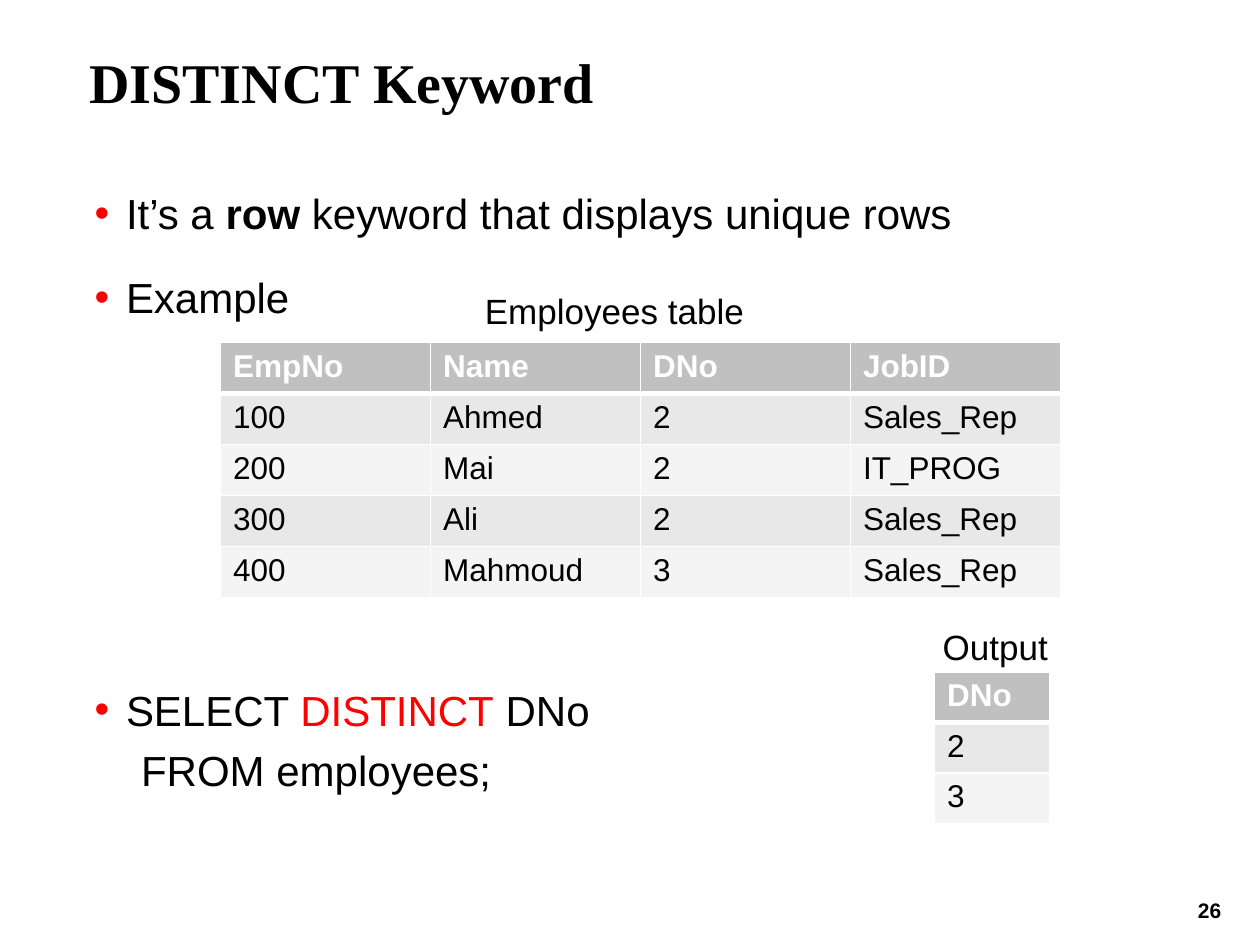
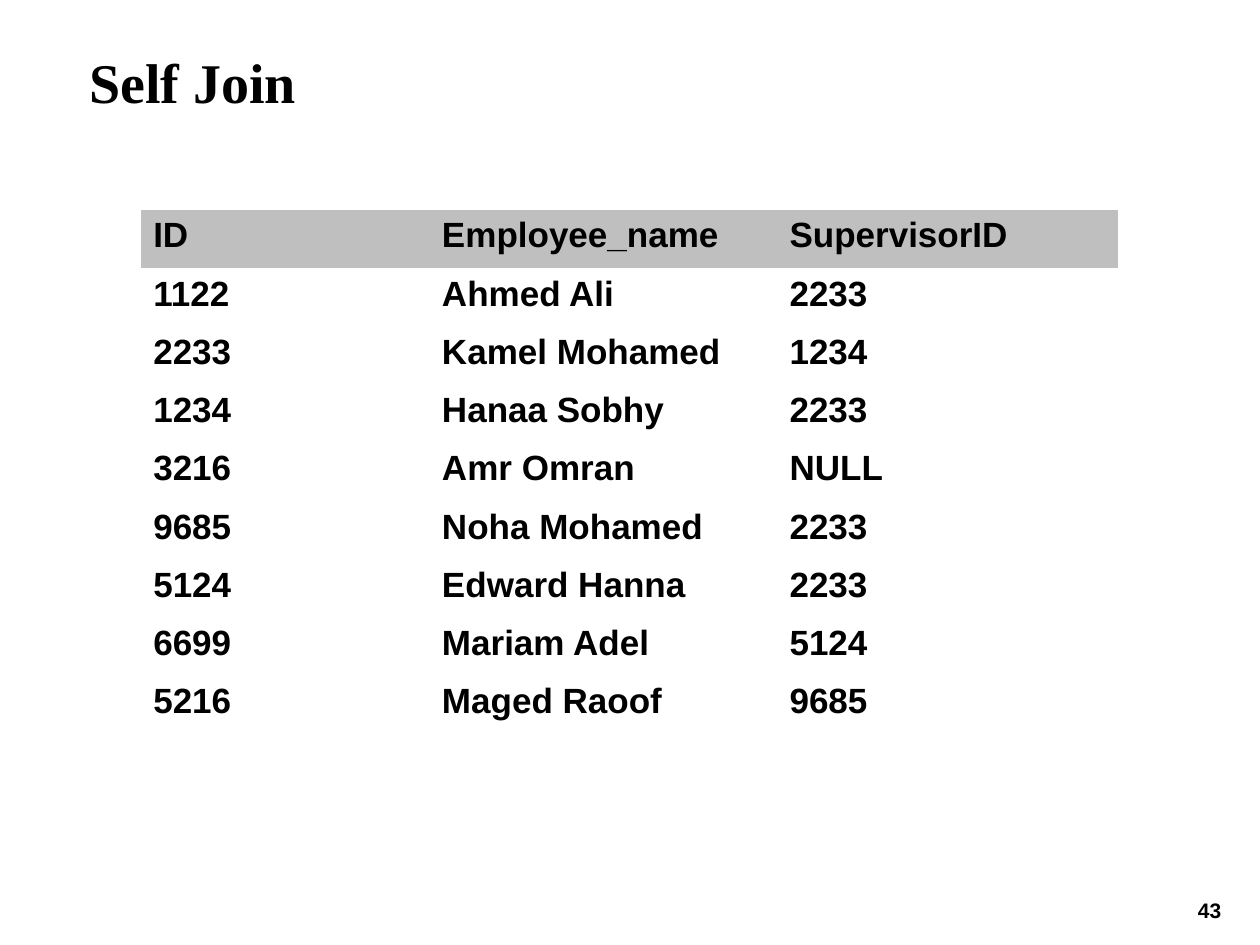
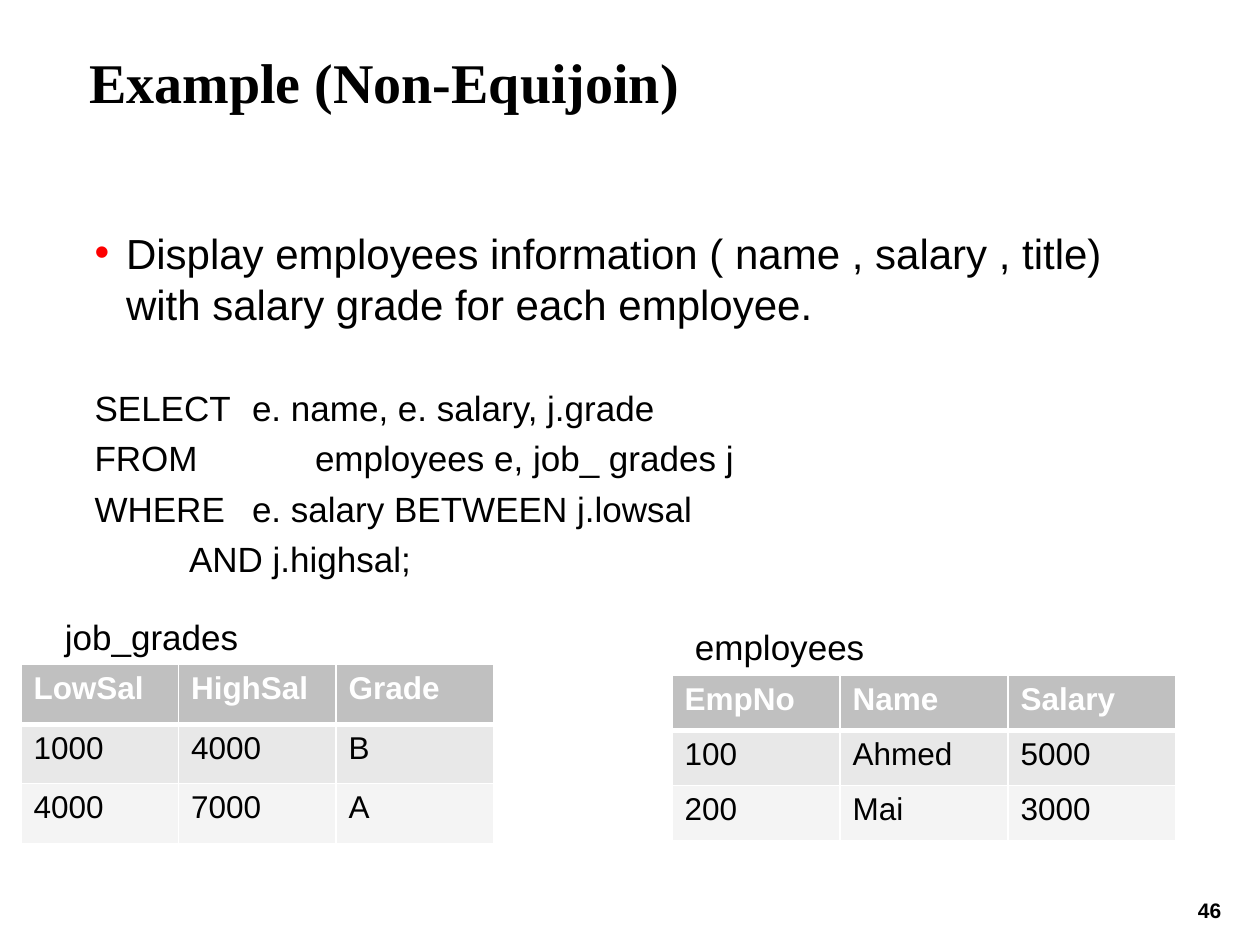
from lxml import etree
from pptx import Presentation
from pptx.dml.color import RGBColor
from pptx.enum.text import MSO_ANCHOR, MSO_AUTO_SIZE, PP_ALIGN
from pptx.oxml.ns import qn
from pptx.util import Inches, Pt

LEFT, CENTER = PP_ALIGN.LEFT, PP_ALIGN.CENTER
TOP, NO_FIT = MSO_ANCHOR.TOP, MSO_AUTO_SIZE.NONE

BLACK = RGBColor(0x00, 0x00, 0x00)
WHITE = RGBColor(0xFF, 0xFF, 0xFF)
RED = RGBColor(0xFF, 0x00, 0x00)
BULLET_RED = RGBColor(0xFD, 0x00, 0x00)
HEADER_GRAY = RGBColor(0xC0, 0xC0, 0xC0)
PLAIN_HEADER_GRAY = RGBColor(0xBF, 0xBF, 0xBF)
BAND_GRAYS = (RGBColor(0xE8, 0xE8, 0xE8), RGBColor(0xF4, 0xF4, 0xF4))

TITLE_FONT, TEXT_FONT = "Times New Roman", "Arial"
TITLE_ONLY, TITLE_AND_CONTENT = 5, 1
NO_TABLE_STYLE = "{2D5ABB26-0587-4C30-8999-92F81FD0307C}"

SLIDE_W, SLIDE_H = Inches(10), Inches(7.5)
COLUMNS, ROWS = 120, 90
INDENT = Inches(0.25)
TOP_INSET = Inches(0.04)
LINE_SPACING = 1.03


def across(columns):
    return round(SLIDE_W * columns / COLUMNS)


def down(rows):
    return round(SLIDE_H * rows / ROWS)


def place(sp, x, y, w, h):
    sp.left, sp.top, sp.width, sp.height = across(x), down(y), across(w), down(h)


def style(font, size, color=BLACK, bold=False, name=TEXT_FONT):
    font.name, font.size, font.bold = name, Pt(size), bold
    font.color.rgb = color


def prepare_frame(tf):
    tf.auto_size, tf.word_wrap, tf.vertical_anchor = NO_FIT, True, TOP
    tf.margin_left = tf.margin_right = tf.margin_bottom = 0
    tf.margin_top = TOP_INSET


def add_label(slide, text, x, y, w, h=5.25, size=20, bold=False):
    tf = slide.shapes.add_textbox(across(x), down(y), across(w), down(h)).text_frame
    tf.word_wrap = True
    tf.text = text
    p = tf.paragraphs[0]
    style(p.runs[0].font, size, bold=bold)
    return p


def add_slide(prs, layout, title, number):
    slide = prs.slides.add_slide(prs.slide_layouts[layout])
    sp = slide.shapes.title
    place(sp, 8.5, 4, 99.5, 12.4)
    prepare_frame(sp.text_frame)
    sp.text_frame.text = title
    p = sp.text_frame.paragraphs[0]
    p.alignment = LEFT
    style(p.runs[0].font, 32, bold=True, name=TITLE_FONT)
    p = add_label(slide, str(number), 112.2, 85.2, 6, 3.4, size=12, bold=True)
    p.alignment, p.line_spacing = CENTER, 0.9
    return slide


def set_bullet(p, bulleted, tabs):
    """Set the hanging indent, the bullet and the tab stops in inches."""
    pPr = p._p.get_or_add_pPr()
    pPr.set("marL", str(INDENT))
    pPr.set("indent", str(-INDENT))
    if bulleted:
        color = etree.SubElement(pPr, qn("a:buClr"))
        etree.SubElement(color, qn("a:srgbClr"), val=str(BULLET_RED))
        etree.SubElement(pPr, qn("a:buFont"), typeface=TEXT_FONT)
        etree.SubElement(pPr, qn("a:buChar"), char="•")
    else:
        etree.SubElement(pPr, qn("a:buNone"))
    if tabs:
        tab_list = etree.SubElement(pPr, qn("a:tabLst"))
        for tab in tabs:
            etree.SubElement(tab_list, qn("a:tab"), pos=str(Inches(tab)), algn="l")


def fill_body(slide, y, h, paragraphs):
    """Fill the body from (runs, size, bulleted, space before, spacing, tabs)."""
    sp = slide.placeholders[1]
    place(sp, 9, y, 98.9, h)
    tf = sp.text_frame
    prepare_frame(tf)
    for i, (runs, size, bulleted, before, spacing, tabs) in enumerate(paragraphs):
        p = tf.paragraphs[0] if i == 0 else tf.add_paragraph()
        set_bullet(p, bulleted, tabs)
        p.space_before, p.line_spacing = Pt(before), spacing
        for text, color, bold in runs:
            r = p.add_run()
            r.text = text
            style(r.font, size, color, bold)


def set_borders(cell, top, bottom):
    tcPr = cell._tc.get_or_add_tcPr()
    for side, width in (("L", 1), ("R", 1), ("T", top), ("B", bottom)):
        ln = etree.SubElement(tcPr, qn(f"a:ln{side}"), w=str(Pt(width)))
        fill = etree.SubElement(ln, qn("a:solidFill"))
        etree.SubElement(fill, qn("a:srgbClr"), val=str(WHITE))


def add_grid(slide, data, x, y, widths, row_h):
    """Add an unstyled table and yield each cell with its row and its font."""
    table = slide.shapes.add_table(len(data), len(widths), across(x), down(y),
                                   across(sum(widths)), down(row_h * len(data))).table
    table.first_row = table.horz_banding = False
    table._tbl.tblPr.find(qn("a:tableStyleId")).text = NO_TABLE_STYLE
    for column, width in zip(table.columns, widths):
        column.width = across(width)
    for i, values in enumerate(data):
        table.rows[i].height = down(row_h)
        for cell, value in zip(table.rows[i].cells, values):
            cell.text = value
            yield i, cell, cell.text_frame.paragraphs[0].runs[0].font


def add_banded_table(slide, data, x, y, col_w, row_h):
    for i, cell, font in add_grid(slide, data, x, y, [col_w] * len(data[0]), row_h):
        header = i == 0
        set_borders(cell, top=3 if i == 1 else 1, bottom=3 if header else 1)
        cell.fill.solid()
        cell.fill.fore_color.rgb = HEADER_GRAY if header else BAND_GRAYS[(i - 1) % 2]
        style(font, 18, WHITE if header else BLACK, header)


def add_plain_table(slide, data, x, y, widths, row_h):
    for i, cell, font in add_grid(slide, data, x, y, widths, row_h):
        if i == 0:
            cell.fill.solid()
            cell.fill.fore_color.rgb = PLAIN_HEADER_GRAY
        else:
            cell.fill.background()
        style(font, 20, bold=True)


def plain(text):
    return [(text, BLACK, False)]


def build_distinct(prs):
    slide = add_slide(prs, TITLE_AND_CONTENT, "DISTINCT Keyword", 26)
    definition = [("It’s a ", BLACK, False), ("row", BLACK, True),
                  (" keyword that displays unique rows", BLACK, False)]
    query = [("SELECT ", BLACK, False), ("DISTINCT", RED, False), (" DNo", BLACK, False)]
    fill_body(slide, 15, 63, [
        (definition, 24, True, 0, 1.5, ()),
        (plain("Example"), 24, True, 4.8, 1.5, ()),
        (query, 24, True, 206, LINE_SPACING, ()),
        (plain("    FROM employees;"), 24, False, 4.8, LINE_SPACING, ()),
    ])
    add_label(slide, "Employees table", 45, 27, 30)
    add_banded_table(slide, [
        ("EmpNo", "Name", "DNo", "JobID"),
        ("100", "Ahmed", "2", "Sales_Rep"),
        ("200", "Mai", "2", "IT_PROG"),
        ("300", "Ali", "2", "Sales_Rep"),
        ("400", "Mahmoud", "3", "Sales_Rep"),
    ], 21, 32.6, 20, 4.87)
    add_label(slide, "Output", 88.6, 59, 12.5)
    add_banded_table(slide, [("DNo",), ("2",), ("3",)], 89, 64, 11, 4.8)


def build_self_join(prs):
    slide = add_slide(prs, TITLE_ONLY, "Self Join", 43)
    add_plain_table(slide, [
        ("ID", "Employee_name", "SupervisorID"),
        ("1122", "Ahmed Ali", "2233"),
        ("2233", "Kamel Mohamed", "1234"),
        ("1234", "Hanaa Sobhy", "2233"),
        ("3216", "Amr Omran", "NULL"),
        ("9685", "Noha Mohamed", "2233"),
        ("5124", "Edward Hanna", "2233"),
        ("6699", "Mariam Adel", "5124"),
        ("5216", "Maged Raoof", "9685"),
    ], 13.4, 20, (27.5, 33.1, 32.5), 5.55)


def build_non_equijoin(prs):
    slide = add_slide(prs, TITLE_AND_CONTENT, "Example (Non-Equijoin)", 46)
    task = ("Display employees information ( name , salary , title) "
            "with salary grade for each employee.")
    query = ("SELECT\te. name, e. salary, j.grade",
             "FROM\t\temployees e, job_ grades j",
             "WHERE \te. salary BETWEEN j.lowsal",
             "\t\tAND j.highsal;")
    fill_body(slide, 21, 57, [(plain(task), 24, True, 0, LINE_SPACING, ())] + [
        (plain(line), 20, False, 4 if i else 32, LINE_SPACING, (0.25, 1.25, 2.25))
        for i, line in enumerate(query)
    ])
    add_banded_table(slide, [
        ("EmpNo", "Name", "Salary"),
        ("100", "Ahmed", "5000"),
        ("200", "Mai", "3000"),
    ], 64, 64.3, 16, 5.25)
    add_banded_table(slide, [
        ("LowSal", "HighSal", "Grade"),
        ("1000", "4000", "B"),
        ("4000", "7000", "A"),
    ], 2, 63.3, 15, 5.67)
    add_label(slide, "job_grades", 5, 58, 19.1)
    add_label(slide, "employees", 65, 59, 18.7)


def main():
    prs = Presentation()
    prs.slide_width, prs.slide_height = SLIDE_W, SLIDE_H
    build_distinct(prs)
    build_self_join(prs)
    build_non_equijoin(prs)
    prs.save("out.pptx")


if __name__ == "__main__":
    main()
